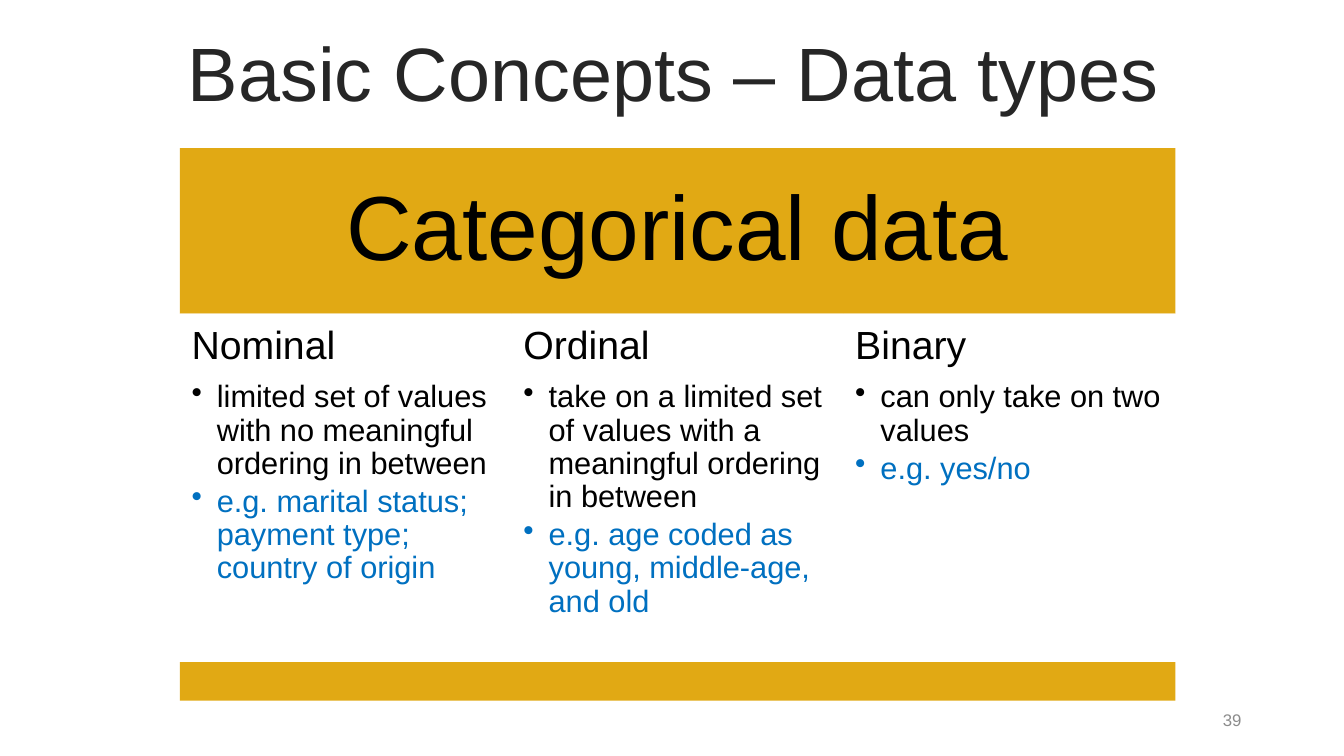
from lxml.etree import SubElement
from pptx import Presentation
from pptx.dml.color import RGBColor as RGB
from pptx.enum.shapes import MSO_SHAPE as SHAPE
from pptx.enum.text import MSO_ANCHOR as ANCHOR, MSO_AUTO_SIZE as FIT, PP_ALIGN as ALIGN
from pptx.oxml.ns import qn
from pptx.util import Pt

COLORS = {"gold": "E1A914", "white": "FFFFFF", "title": "262626",
          "text": "000000", "example": "0070C0", "number": "8C8C8C"}

# Diagram grid, in points
LEFT, COL_W = 128.5, 237
HEAD_TOP, COL_TOP, FOOT_TOP, FOOT_BOTTOM = 105.8, 224, 473, 500.4

COLUMNS = [
    ("Nominal", "limited set of values with no meaningful ordering in between",
     "e.g. marital status; payment type; country of origin"),
    ("Ordinal", "take on a limited set of values with a meaningful ordering in between",
     "e.g. age coded as young, middle-age, and old"),
    ("Binary", "can only take on two values", "e.g. yes/no"),
]


class Deck:
    font = "Arial"

    def __init__(self, width, height):
        self.prs = Presentation()
        self.prs.slide_width, self.prs.slide_height = Pt(width), Pt(height)
        self.s = self.prs.slides.add_slide(self.prs.slide_layouts[5])

    def frame(self, sp, inset=None, anchor=ANCHOR.MIDDLE):
        tf = sp.text_frame
        fmt = {"word_wrap": True, "auto_size": FIT.NONE, "vertical_anchor": anchor}
        if inset is not None:
            for side in ("left", "right", "top", "bottom"):
                fmt["margin_" + side] = Pt(inset)
        for name, value in fmt.items():
            setattr(tf, name, value)
        return tf

    def para(self, p, text, size, color="text", align=ALIGN.LEFT, after=0, bullet=False):
        fmt = {"alignment": align, "line_spacing": 0.9,
               "space_before": Pt(0), "space_after": Pt(after)}
        for name, value in fmt.items():
            setattr(p, name, value)
        if bullet:
            pPr = p._p.get_or_add_pPr()
            pPr.set("marL", str(Pt(18)))
            pPr.set("indent", str(Pt(-18)))
            SubElement(pPr, qn("a:buChar")).set("char", "•")
        r = p.add_run()
        r.text = text
        for name, value in {"name": self.font, "size": Pt(size), "bold": False}.items():
            setattr(r.font, name, value)
        r.font.color.rgb = RGB.from_string(COLORS[color])

    def title(self, text, x, y, w, h):
        sp = self.s.shapes.title
        for name, value in zip(("left", "top", "width", "height"), (x, y, w, h)):
            setattr(sp, name, Pt(value))
        self.para(self.frame(sp).paragraphs[0], text, 54, "title", ALIGN.CENTER)

    def rect(self, x, y, w, h, color):
        sp = self.s.shapes.add_shape(SHAPE.RECTANGLE, Pt(x), Pt(y), Pt(w), Pt(h))
        sp.shadow.inherit = False
        sp.fill.solid()
        sp.fill.fore_color.rgb = RGB.from_string(COLORS[color])
        sp.line.fill.background()
        return sp

    def banner(self, text, x, y, w, h):
        tf = self.frame(self.rect(x, y, w, h, "gold"), 19.5)
        self.para(tf.paragraphs[0], text, 65, align=ALIGN.CENTER)

    def column(self, heading, meaning, example, x, y, w, h):
        tf = self.frame(self.rect(x, y, w, h, "white"), 8.4, ANCHOR.TOP)
        self.para(tf.paragraphs[0], heading, 28, after=9.8)
        for text, color in ((meaning, "text"), (example, "example")):
            self.para(tf.add_paragraph(), text, 22, color, after=3.3, bullet=True)

    def number(self, text, x, y, w, h):
        sp = self.s.shapes.add_textbox(Pt(x), Pt(y), Pt(w), Pt(h))
        self.para(self.frame(sp).paragraphs[0], text, 12, "number", ALIGN.RIGHT)


def main():
    deck = Deck(960, 540)
    width = COL_W * len(COLUMNS)

    # Title
    deck.title("Basic Concepts – Data types", 25.2, 26.6, 911.5, 57)

    # Data type diagram
    deck.banner("Categorical data", LEFT, HEAD_TOP, width, COL_TOP - HEAD_TOP)
    for i, texts in enumerate(COLUMNS):
        deck.column(*texts, LEFT + i * COL_W, COL_TOP, COL_W, FOOT_TOP - COL_TOP)
    deck.rect(LEFT, FOOT_TOP, width, FOOT_BOTTOM - FOOT_TOP, "gold")

    # Slide number
    deck.number("39", 678, 500.5, 216, 28.75)

    deck.prs.save("out.pptx")


if __name__ == "__main__":
    main()
